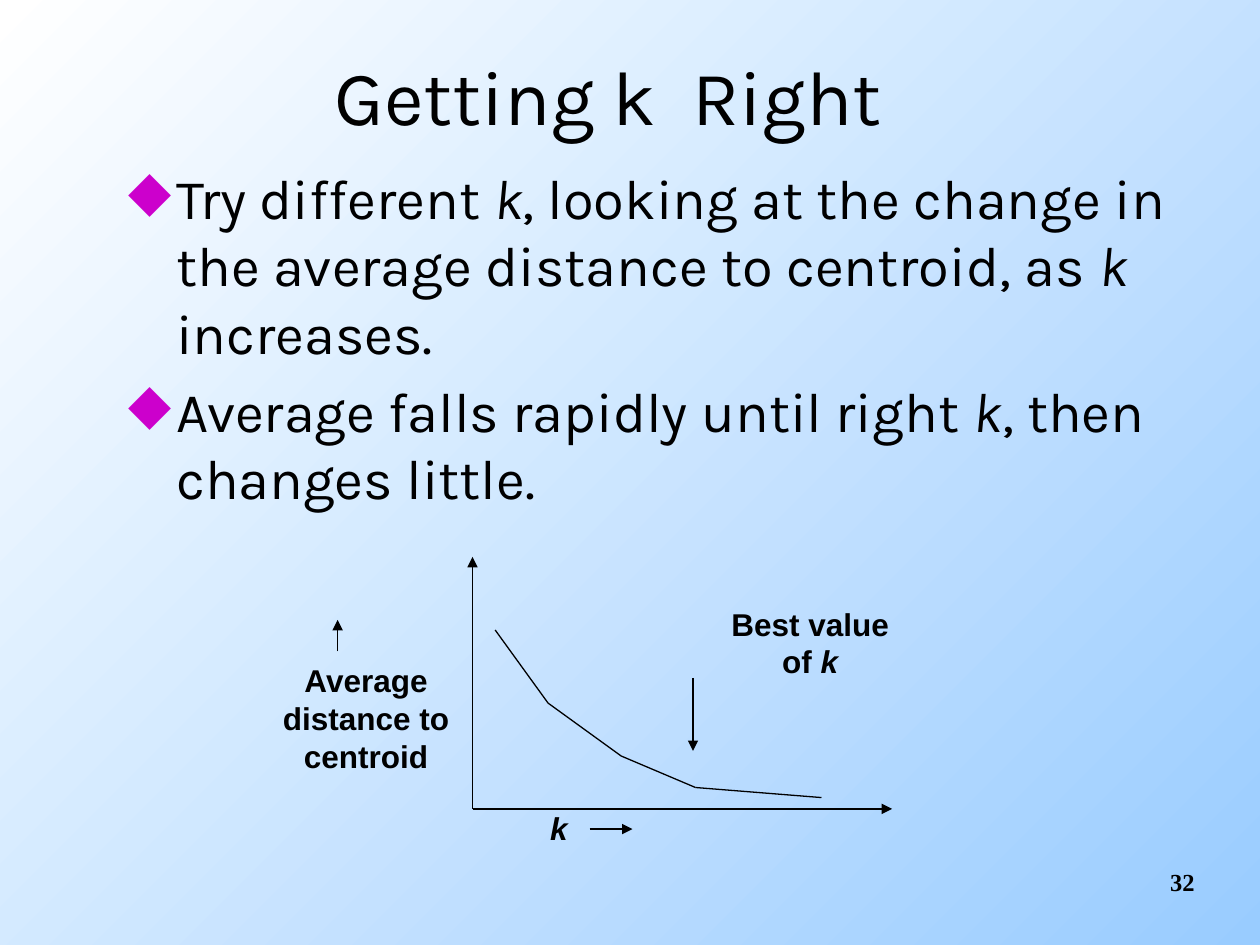
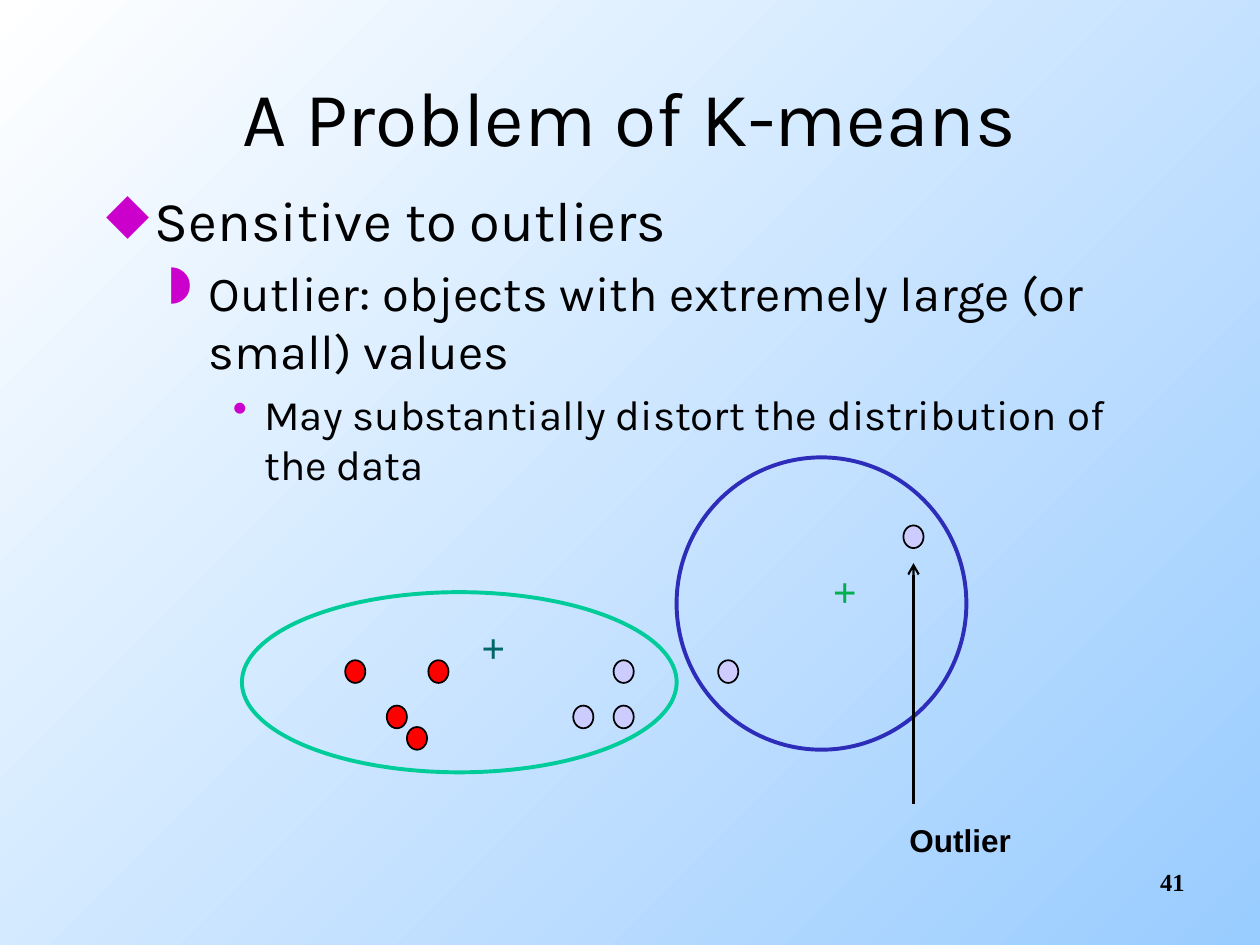
from dataclasses import dataclass
from itertools import pairwise

from pptx import Presentation
from pptx.dml.color import RGBColor
from pptx.enum.shapes import MSO_CONNECTOR, MSO_SHAPE
from pptx.enum.text import MSO_ANCHOR, MSO_AUTO_SIZE, PP_ALIGN
from pptx.oxml.ns import qn
from pptx.slide import Slide
from pptx.text.text import TextFrame
from pptx.util import Inches, Pt
from lxml.etree import SubElement

BLACK = RGBColor(0x00, 0x00, 0x00)
WHITE = RGBColor(0xFF, 0xFF, 0xFF)
SKY = RGBColor(0x99, 0xCC, 0xFF)
MAGENTA = RGBColor(0xCC, 0x00, 0xCC)
RED = RGBColor(0xFF, 0x00, 0x00)
LILAC = RGBColor(0xCC, 0xCC, 0xFF)
TEAL = RGBColor(0x00, 0xCC, 0x99)
INDIGO = RGBColor(0x2D, 0x2D, 0xB9)
GREEN = RGBColor(0x00, 0xB0, 0x50)
DARK_TEAL = RGBColor(0x00, 0x66, 0x66)

HEADING_FONT = "Karla"
LABEL_FONT = "Arial"
NUMBER_FONT = "Times New Roman"

Box = tuple[float, float, float, float]
Point = tuple[float, float]


@dataclass(frozen=True)
class Style:
    """Look of a block of text."""
    font: str
    size: int
    bold: bool = False
    color: RGBColor = BLACK
    align: PP_ALIGN = PP_ALIGN.CENTER


@dataclass(frozen=True)
class Level:
    """Bullet, text size and indents of one outline level."""
    bullet: str
    size: int
    margin: float
    hanging: float


@dataclass(frozen=True)
class Bullet:
    """One outline paragraph, with italics between asterisks."""
    text: str
    level: int = 0


@dataclass(frozen=True)
class Label:
    """A text label, with italics between asterisks."""
    lines: tuple[str, ...]
    box: Box
    style: Style
    wrap: bool = False


@dataclass(frozen=True)
class Line:
    """A straight line with an optional arrowhead at its end."""
    start: Point
    end: Point
    head: str = "triangle"
    width: float = 0.75


@dataclass(frozen=True)
class Cluster:
    """An ellipse drawn around a group of points."""
    box: Box
    color: RGBColor


TITLE = Style(HEADING_FONT, 44)
NUMBER = Style(NUMBER_FONT, 14, bold=True, align=PP_ALIGN.RIGHT)
LABEL = Style(LABEL_FONT, 18, bold=True)
LEVELS = (
    Level("◆", 32, 0.38, 0.38),
    Level("◗", 28, 0.81, 0.31),
    Level("•", 24, 1.25, 0.25),
)

ORIGIN = (3.75, 6.42)
ELBOW_CURVE = ((3.93, 5), (4.35, 5.58), (4.93, 6), (5.52, 6.25), (6.52, 6.33))
ELBOW_ARROWS = (
    Line(ORIGIN, (3.75, 4.42)),
    Line(ORIGIN, (7.08, 6.42)),
    Line((5.5, 5.38), (5.5, 5.96)),
    Line((2.68, 5.17), (2.68, 4.92)),
    Line((4.68, 6.58), (5.02, 6.58)),
)
ELBOW_LABELS = (
    Label(("Best value", "of *k*"), (5.57, 4.75, 1.72, 0.9), LABEL),
    Label(("*k*",), (4.25, 6.37, 0.37, 0.5), LABEL),
    Label(("Average", "distance to", "centroid"), (2, 5.2, 1.81, 1.3), LABEL),
)

DOT_SIZE = (0.16, 0.18)
DOTS = {
    RED: ((3.4, 5.24), (3.07, 5.6), (2.74, 5.24), (3.23, 5.77)),
    LILAC: ((4.87, 5.24), (4.87, 5.6), (4.55, 5.6), (5.7, 5.24), (7.17, 4.17)),
}
CLUSTERS = (
    Cluster((1.92, 4.7, 3.45, 1.43), TEAL),
    Cluster((5.37, 3.63, 2.3, 2.32), INDIGO),
)
OUTLIER_LABELS = (
    Label(("+",), (6.32, 4.44, 0.77, 0.51),
          Style(NUMBER_FONT, 24, True, GREEN), wrap=True),
    Label(("+",), (3.72, 4.88, 0.39, 0.5),
          Style(NUMBER_FONT, 24, True, DARK_TEAL)),
    Label(("Outlier",), (6.58, 6.47, 2.08, 0.53), LABEL, wrap=True),
)


def add_frame(s: Slide, box: Box) -> TextFrame:
    """Add a wrapping text box and return its frame."""
    tf = s.shapes.add_textbox(*map(Inches, box)).text_frame
    tf.word_wrap = True
    return tf


def add_runs(p, text: str, style: Style) -> None:
    """Write text as runs, with italics between asterisks."""
    p.alignment = style.align
    for i, part in enumerate(text.split("*")):
        if part:
            r = p.add_run()
            r.text = part
            r.font.name = style.font
            r.font.size = Pt(style.size)
            r.font.bold = style.bold
            r.font.italic = i % 2 == 1
            r.font.color.rgb = style.color


def write_lines(tf: TextFrame, lines: tuple[str, ...], style: Style) -> None:
    """Write one paragraph for each line."""
    tf.text = "\n".join(lines)
    for p, text in zip(tf.paragraphs, lines):
        p.clear()
        add_runs(p, text, style)


def add_label(s: Slide, label: Label) -> None:
    """Draw a label that grows with its text."""
    tf = add_frame(s, label.box)
    tf.word_wrap = label.wrap
    tf.auto_size = MSO_AUTO_SIZE.SHAPE_TO_FIT_TEXT
    write_lines(tf, label.lines, label.style)


def add_outline(s: Slide, left: float, top: float,
                bullets: tuple[Bullet, ...]) -> None:
    """Draw the bulleted body text."""
    tf = add_frame(s, (left, top, 8.5, 4.5))
    for i, bullet in enumerate(bullets):
        level = LEVELS[bullet.level]
        p = tf.add_paragraph() if i else tf.paragraphs[0]
        p.level = bullet.level
        pPr = p._p.get_or_add_pPr()
        pPr.set("marL", str(Inches(level.margin)))
        pPr.set("indent", str(-Inches(level.hanging)))
        color = SubElement(pPr, qn("a:buClr"))
        SubElement(color, qn("a:srgbClr"), val=str(MAGENTA))
        SubElement(pPr, qn("a:buChar"), char=level.bullet)
        if i:
            p.space_before = Pt(level.size * 0.2)
        add_runs(p, bullet.text,
                 Style(HEADING_FONT, level.size, align=PP_ALIGN.LEFT))


def add_line(s: Slide, line: Line) -> None:
    """Draw a straight line or arrow."""
    c = s.shapes.add_connector(MSO_CONNECTOR.STRAIGHT,
                               *map(Inches, line.start + line.end))
    c.line.color.rgb = BLACK
    c.line.width = Pt(line.width)
    if line.head:
        SubElement(c.line._get_or_add_ln(), qn("a:tailEnd"), type=line.head)
    SubElement(c._element.spPr, qn("a:effectLst"))


def add_ellipse(s: Slide, box: Box, color: RGBColor, width: float,
                fill: RGBColor | None = None) -> None:
    """Draw an ellipse, hollow unless a fill is given."""
    sp = s.shapes.add_shape(MSO_SHAPE.OVAL, *map(Inches, box))
    sp.shadow.inherit = False
    sp.line.color.rgb = color
    sp.line.width = Pt(width)
    if fill is None:
        sp.fill.background()
    else:
        sp.fill.solid()
        sp.fill.fore_color.rgb = fill


def add_slide(prs: Presentation, title: str, number: int,
              title_at: Point, number_left: float) -> Slide:
    """Add a slide with the shared background, title and page number."""
    s = prs.slides.add_slide(prs.slide_layouts[6])
    fill = s.background.fill
    fill.gradient()
    fill.gradient_angle = 315
    for stop, color, position in zip(fill.gradient_stops, (WHITE, SKY), (0, 1)):
        stop.color.rgb = color
        stop.position = position
    tf = add_frame(s, (*title_at, 8.5, 1))
    tf.vertical_anchor = MSO_ANCHOR.MIDDLE
    write_lines(tf, (title,), TITLE)
    write_lines(add_frame(s, (number_left, 6.83, 2.08, 0.5)),
                (str(number),), NUMBER)
    return s


def build_getting_k_right(prs: Presentation) -> None:
    """Build the slide on choosing k from the elbow of the curve."""
    s = add_slide(prs, "Getting k  Right", 32, (0.58, 0.25), 7.5)
    add_outline(s, 0.92, 1.25, (
        Bullet("Try different *k*, looking at the change in the average "
               "distance to centroid, as *k* increases."),
        Bullet("Average falls rapidly until right *k*, then changes little."),
    ))
    for arrow in ELBOW_ARROWS:
        add_line(s, arrow)
    for start, end in pairwise(ELBOW_CURVE):
        add_line(s, Line(start, end, head=""))
    for label in ELBOW_LABELS:
        add_label(s, label)


def build_outlier_problem(prs: Presentation) -> None:
    """Build the slide on how an outlier distorts the clusters."""
    s = add_slide(prs, "A Problem of K-means", 41, (0.75, 0.42), 7.42)
    add_outline(s, 0.75, 1.42, (
        Bullet("Sensitive to outliers"),
        Bullet("Outlier: objects with extremely large (or small) values", 1),
        Bullet("May substantially distort the distribution of the data", 2),
    ))
    for fill, places in DOTS.items():
        for place in places:
            add_ellipse(s, place + DOT_SIZE, BLACK, 1, fill)
    for cluster in CLUSTERS:
        add_ellipse(s, cluster.box, cluster.color, 2.25)
    for label in OUTLIER_LABELS:
        add_label(s, label)
    add_line(s, Line((7.25, 6.38), (7.25, 4.47), "arrow", 1.25))


def main() -> None:
    """Build and save the presentation."""
    prs = Presentation()
    prs.slide_width, prs.slide_height = Inches(10), Inches(7.5)
    build_getting_k_right(prs)
    build_outlier_problem(prs)
    prs.save("out.pptx")


if __name__ == "__main__":
    main()
